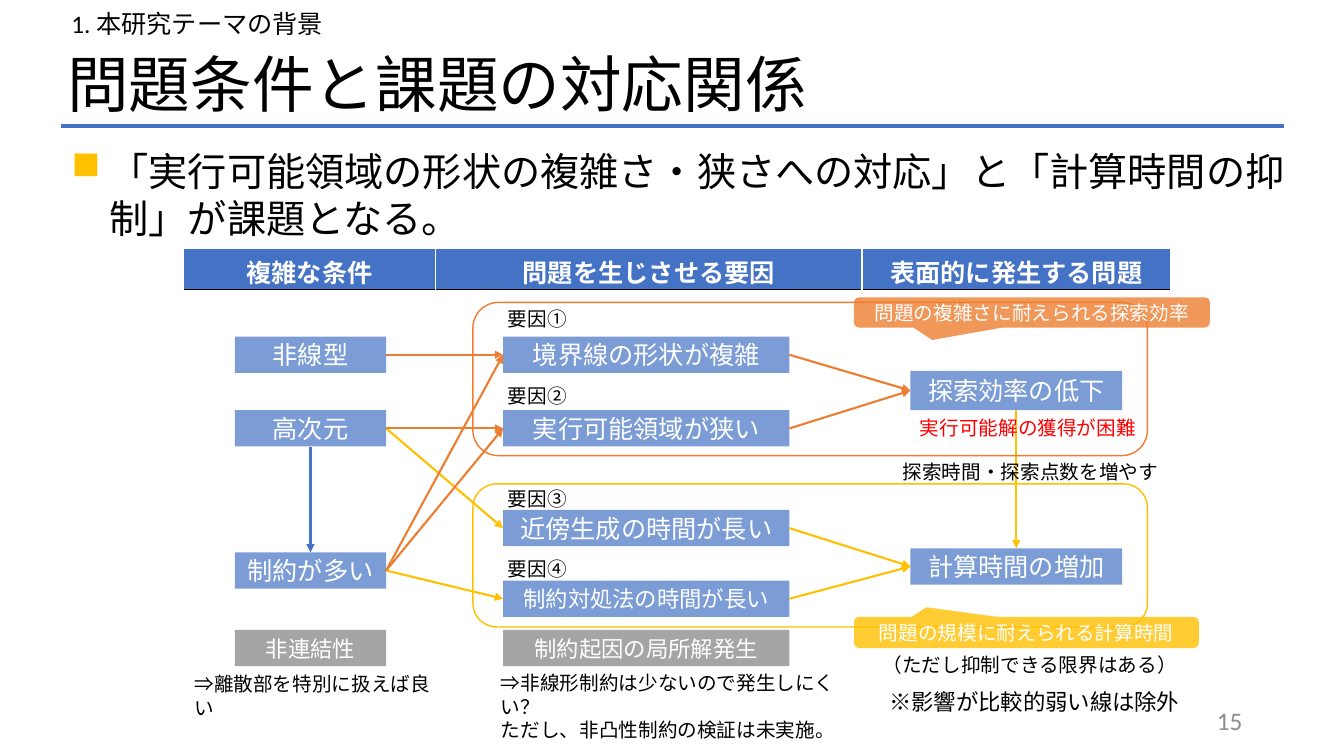
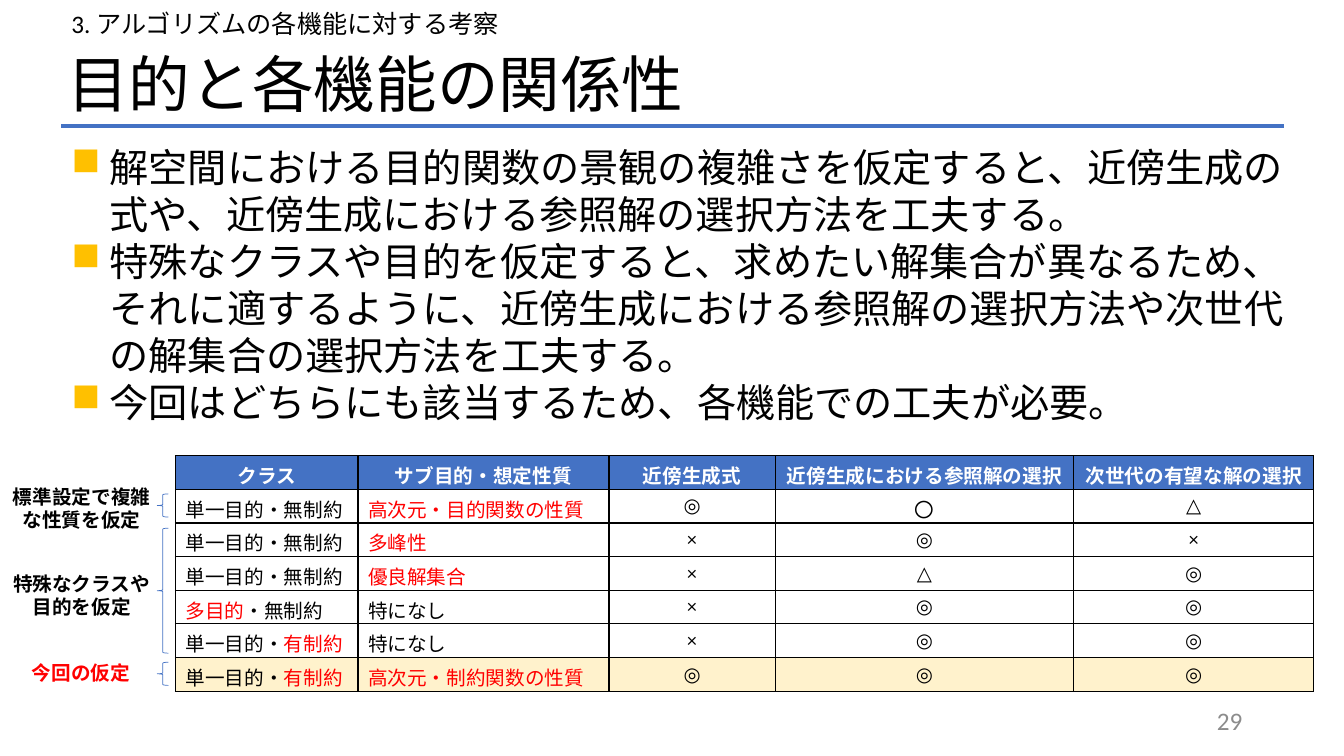
"""Build two slides on optimisation problem conditions and algorithm functions."""
from dataclasses import dataclass
from typing import Optional

from lxml.etree import SubElement
from pptx import Presentation
from pptx.dml.color import RGBColor
from pptx.enum.shapes import MSO_CONNECTOR as Connector, MSO_SHAPE as Preset
from pptx.enum.text import MSO_ANCHOR as Anchor, PP_ALIGN as Align
from pptx.oxml.ns import qn
from pptx.shapes.autoshape import Shape
from pptx.shapes.connector import Connector as Line
from pptx.slide import Slide
from pptx.table import _Cell as Cell
from pptx.text.text import TextFrame
from pptx.util import Emu, Pt

FONT = "Calibri"
BLACK, WHITE, RED, GRAY = "000000", "FFFFFF", "FF0000", "808080"
BLUE, ORANGE, GOLD, CREAM, PAGE_GRAY = "4472C4", "ED7D31", "FFC000", "FFF2CC", "8C8C8C"
EMU_PER_PX = 9144
TOP, LEFT, BOTTOM, RIGHT = range(4)
SIDES = ("lnL", "lnR", "lnT", "lnB")


@dataclass(frozen=True)
class Style:
    size: int = 14
    color: str = BLACK
    bold: bool = False
    align: Align = Align.LEFT
    anchor: Anchor = Anchor.TOP
    spacing: Optional[float] = None
    bullet: bool = False


@dataclass(frozen=True)
class Label:
    text: str
    x: int
    y: int
    width: int
    height: int
    style: Style = Style()


@dataclass(frozen=True)
class Box:
    text: str
    x: int
    y: int
    width: int
    height: int = 36
    size: int = 18
    color: str = BLUE


@dataclass(frozen=True)
class Arrow:
    start: str
    end: str
    color: str
    start_site: int = RIGHT
    end_site: int = LEFT


@dataclass(frozen=True)
class Outline:
    preset: Preset
    x: int
    y: int
    width: int
    height: int
    color: str
    weight: float


@dataclass(frozen=True)
class Callout:
    box: Box
    tip_x: float
    tip_y: float


TITLE = Style(44, anchor=Anchor.MIDDLE, spacing=0.9)
SECTION = Style(18)
PAGE = Style(18, PAGE_GRAY, align=Align.RIGHT, anchor=Anchor.MIDDLE)
BODY = Style(28, bullet=True)
CENTERED = Style(align=Align.CENTER)
WARNING = Style(color=RED, align=Align.CENTER)
GROUP = Style(bold=True, align=Align.CENTER)
CURRENT = Style(color=RED, bold=True, align=Align.CENTER)

CONDITION, FACTOR, PROBLEM = (233, 150), (499, 284), (903, 210)


def column_box(column: tuple[int, int], y: int, text: str, height: int = 36,
               size: int = 18, color: str = BLUE) -> Box:
    x, width = column
    return Box(text, x, y, width, height, size, color)


BOXES = [
    column_box(CONDITION, 334, "非線型"),
    column_box(CONDITION, 407, "高次元"),
    column_box(CONDITION, 548, "制約が多い"),
    column_box(CONDITION, 625, "非連結性", size=16, color=GRAY),
    column_box(FACTOR, 334, "境界線の形状が複雑"),
    column_box(FACTOR, 407, "実行可能領域が狭い"),
    column_box(FACTOR, 506, "近傍生成の時間が長い"),
    column_box(FACTOR, 576, "制約対処法の時間が長い", size=16),
    column_box(FACTOR, 625, "制約起因の局所解発生", size=16, color=GRAY),
    column_box(PROBLEM, 368, "探索効率の低下", height=39),
    column_box(PROBLEM, 544, "計算時間の増加"),
]
ARROWS = [
    Arrow("探索効率の低下", "計算時間の増加", GOLD, BOTTOM, TOP),
    Arrow("近傍生成の時間が長い", "計算時間の増加", GOLD),
    Arrow("制約対処法の時間が長い", "計算時間の増加", GOLD),
    Arrow("境界線の形状が複雑", "探索効率の低下", ORANGE),
    Arrow("実行可能領域が狭い", "探索効率の低下", ORANGE),
    Arrow("高次元", "制約が多い", BLUE, BOTTOM, TOP),
    Arrow("制約が多い", "制約対処法の時間が長い", GOLD),
    Arrow("高次元", "近傍生成の時間が長い", GOLD),
    Arrow("制約が多い", "境界線の形状が複雑", ORANGE),
    Arrow("制約が多い", "実行可能領域が狭い", ORANGE),
    Arrow("高次元", "実行可能領域が狭い", ORANGE),
    Arrow("非線型", "境界線の形状が複雑", ORANGE),
]
FACTOR_LABELS = [Label(f"要因{number}", 494, y, 83, 34)
                 for number, y in zip("①②③④", (300, 376, 478, 548))]
DIAGRAM_LABELS = FACTOR_LABELS + [
    Label("⇒離散部を特別に扱えば良い", 183, 662, 255, 34),
    Label("⇒非線形制約は少ないので発生しにくい？\nただし、非凸性制約の検証は未実施。", 487, 661, 351, 57),
    Label("実行可能解の獲得が困難", 895, 408, 249, 34, WARNING),
    Label("探索時間・探索点数を増やす", 880, 451, 284, 34, CENTERED),
    Label("（ただし抑制できる限界はある）", 863, 643, 317, 34, CENTERED),
    Label("※影響が比較的弱い線は除外", 872, 678, 328, 37, Style(16)),
]
GROUP_FRAMES = [
    Outline(Preset.ROUNDED_RECTANGLE, 469, 480, 669, 142, GOLD, 1),
    Outline(Preset.ROUNDED_RECTANGLE, 469, 300, 669, 152, ORANGE, 1),
]
CALLOUTS = [
    Callout(Box("問題の複雑さに耐えられる探索効率", 847, 295, 353, 30, 14, ORANGE), -0.28, 0.91),
    Callout(Box("問題の規模に耐えられる計算時間", 847, 612, 342, 31, 14, GOLD), -0.29, -0.81),
]
BRACES = [Outline(Preset.LEFT_BRACE, 156, y, 11, height, BLUE, 0.5)
          for y, height in ((490, 23), (524, 124), (657, 23))]
GROUP_LABELS = [
    Label("標準設定で複雑な性質を仮定", 0, 476, 162, 57, GROUP),
    Label("特殊なクラスや目的を仮定", 0, 562, 162, 57, GROUP),
    Label("今回の仮定", 16, 651, 129, 34, CURRENT),
]
DIAGRAM_HEADERS = ["複雑な条件", "問題を生じさせる要因", "表面的に発生する問題"]
FUNCTION_ROWS = [
    ["クラス", "サブ目的・想定性質", "近傍生成式", "近傍生成における参照解の選択", "次世代の有望な解の選択"],
    ["単一目的・無制約", "*高次元・目的関数の性質*", "◎", "〇", "△"],
    ["単一目的・無制約", "*多峰性*", "×", "◎", "×"],
    ["単一目的・無制約", "*優良解集合*", "×", "△", "◎"],
    ["*多目的*・無制約", "特になし", "×", "◎", "◎"],
    ["単一目的・*有制約*", "特になし", "×", "◎", "◎"],
    ["単一目的・*有制約*", "*高次元・制約関数の性質*", "◎", "◎", "◎"],
]


def px(length: int) -> Emu:
    return Emu(length * EMU_PER_PX)


def rgb(color: str) -> RGBColor:
    return RGBColor.from_string(color)


def write(frame: TextFrame, text: str, style: Style) -> None:
    """Fill a frame, one paragraph a line, with *marked* parts in red."""
    frame.word_wrap = True
    for index, line in enumerate(text.split("\n")):
        paragraph = frame.add_paragraph() if index else frame.paragraphs[0]
        paragraph.alignment = style.align
        if style.spacing:
            paragraph.line_spacing = style.spacing
        if style.bullet:
            properties = paragraph._p.get_or_add_pPr()
            properties.set("marL", str(px(38)))
            properties.set("indent", str(px(-38)))
            SubElement(SubElement(properties, qn("a:buClr")), qn("a:srgbClr"), val=GOLD)
            SubElement(properties, qn("a:buChar"), char="■")
        font = paragraph.font
        font.name, font.size, font.bold = FONT, Pt(style.size), style.bold
        font.color.rgb = rgb(style.color)
        for position, part in enumerate(line.split("*")):
            if part:
                run = paragraph.add_run()
                run.text = part
                if position % 2:
                    run.font.color.rgb = rgb(RED)


def add_label(slide: Slide, label: Label) -> None:
    area = map(px, (label.x, label.y, label.width, label.height))
    frame = slide.shapes.add_textbox(*area).text_frame
    frame.vertical_anchor = label.style.anchor
    write(frame, label.text, label.style)


def add_box(slide: Slide, box: Box, opacity: int = 70, preset: Preset = Preset.RECTANGLE) -> Shape:
    shape = slide.shapes.add_shape(preset, *map(px, (box.x, box.y, box.width, box.height)))
    shape.shadow.inherit = False
    shape.fill.solid()
    shape.fill.fore_color.rgb = rgb(box.color)
    fill_color = shape.element.spPr.find(".//" + qn("a:srgbClr"))
    SubElement(fill_color, qn("a:alpha"), val=str(opacity * 1000))
    shape.line.fill.background()
    shape.text_frame.vertical_anchor = Anchor.MIDDLE
    write(shape.text_frame, box.text, Style(box.size, WHITE, align=Align.CENTER))
    return shape


def add_callout(slide: Slide, callout: Callout) -> None:
    shape = add_box(slide, callout.box, 80, Preset.ROUNDED_RECTANGULAR_CALLOUT)
    shape.adjustments[0], shape.adjustments[1] = callout.tip_x, callout.tip_y


def add_outline(slide: Slide, outline: Outline) -> None:
    area = map(px, (outline.x, outline.y, outline.width, outline.height))
    shape = slide.shapes.add_shape(outline.preset, *area)
    shape.shadow.inherit = False
    shape.fill.background()
    shape.line.color.rgb, shape.line.width = rgb(outline.color), Pt(outline.weight)


def add_line(slide: Slide, color: str, weight: float, x: int = 0, y: int = 0, end_x: int = 0) -> Line:
    line = slide.shapes.add_connector(Connector.STRAIGHT, px(x), px(y), px(end_x), px(y))
    line.line.color.rgb, line.line.width = rgb(color), Pt(weight)
    SubElement(line._element.spPr, qn("a:effectLst"))
    return line


def add_arrow(slide: Slide, arrow: Arrow, boxes: dict[str, Shape]) -> None:
    line = add_line(slide, arrow.color, 1.5)
    line.begin_connect(boxes[arrow.start], arrow.start_site)
    line.end_connect(boxes[arrow.end], arrow.end_site)
    SubElement(line.line._get_or_add_ln(), qn("a:tailEnd"), type="triangle")


def style_cell(cell: Cell, fill: Optional[str], borders: tuple[str, ...]) -> None:
    properties = cell._tc.get_or_add_tcPr()
    for side, color in zip(SIDES, borders):
        border = SubElement(properties, qn(f"a:{side}"), w=str(Pt(1)))
        SubElement(SubElement(border, qn("a:solidFill")), qn("a:srgbClr"), val=color)
    if fill:
        cell.fill.solid()
        cell.fill.fore_color.rgb = rgb(fill)
    else:
        cell.fill.background()


def add_grid(slide: Slide, rows: list[list[str]], x: int, y: int, widths: list[int], row_height: int,
             header_size: int, borders: tuple[str, ...]) -> None:
    """Draw a table with a blue header and a highlighted last row."""
    area = map(px, (x, y, sum(widths), row_height * len(rows)))
    table = slide.shapes.add_table(len(rows), len(widths), *area).table
    table.horz_banding = False
    for column, width in zip(table.columns, widths):
        column.width = px(width)
    for row_index, texts in enumerate(rows):
        for column_index, text in enumerate(texts):
            cell = table.cell(row_index, column_index)
            if row_index == 0:
                fill, style = BLUE, Style(header_size, WHITE, True, Align.CENTER)
            else:
                fill = CREAM if row_index == len(rows) - 1 else None
                style = Style(align=Align.LEFT if column_index < 2 else Align.CENTER, anchor=Anchor.MIDDLE)
            style_cell(cell, fill, borders)
            cell.vertical_anchor = style.anchor
            write(cell.text_frame, text, style)


def add_base_slide(presentation: Presentation, section: str, title: str, page: int, body: Label) -> Slide:
    slide = presentation.slides.add_slide(presentation.slide_layouts[6])
    add_label(slide, Label(title, 57, 14, 1150, 145, TITLE))
    add_label(slide, Label(str(page), 942, 695, 300, 40, PAGE))
    add_line(slide, BLUE, 2.25, 61, 125, 1273)
    add_label(slide, Label(section, 61, 3, 518, 40, SECTION))
    add_label(slide, body)
    return slide


def build_diagram(presentation: Presentation) -> None:
    body = Label("「実行可能領域の形状の複雑さ・狭さへの対応」と「計算時間の抑制」が課題となる。", 61, 141, 1231, 104, BODY)
    slide = add_base_slide(presentation, "1. 本研究テーマの背景", "問題条件と課題の対応関係", 15, body)
    add_grid(slide, [DIAGRAM_HEADERS], 182, 246, [250, 423, 306], 41, 18, (WHITE, WHITE, WHITE, BLACK))
    boxes = {box.text: add_box(slide, box) for box in BOXES}
    for arrow in ARROWS:
        add_arrow(slide, arrow, boxes)
    for frame in GROUP_FRAMES:
        add_outline(slide, frame)
    for callout in CALLOUTS:
        add_callout(slide, callout)
    for label in DIAGRAM_LABELS:
        add_label(slide, label)


def build_functions(presentation: Presentation) -> None:
    body = Label("解空間における目的関数の景観の複雑さを仮定すると、近傍生成の式や、近傍生成における参照解の選択方法を工夫する。\n"
                 "特殊なクラスや目的を仮定すると、求めたい解集合が異なるため、それに適するように、"
                 "近傍生成における参照解の選択方法や次世代の解集合の選択方法を工夫する。\n"
                 "今回はどちらにも該当するため、各機能での工夫が必要。", 61, 137, 1231, 293, BODY)
    slide = add_base_slide(presentation, "3. アルゴリズムの各機能に対する考察", "目的と各機能の関係性", 29, body)
    add_grid(slide, FUNCTION_ROWS, 174, 452, [181, 249, 165, 296, 238], 33, 14, (BLACK,) * 4)
    for brace in BRACES:
        add_outline(slide, brace)
    for label in GROUP_LABELS:
        add_label(slide, label)


def main() -> None:
    presentation = Presentation()
    presentation.slide_width, presentation.slide_height = px(1333), px(750)
    build_diagram(presentation)
    build_functions(presentation)
    presentation.save("out.pptx")


if __name__ == "__main__":
    main()
